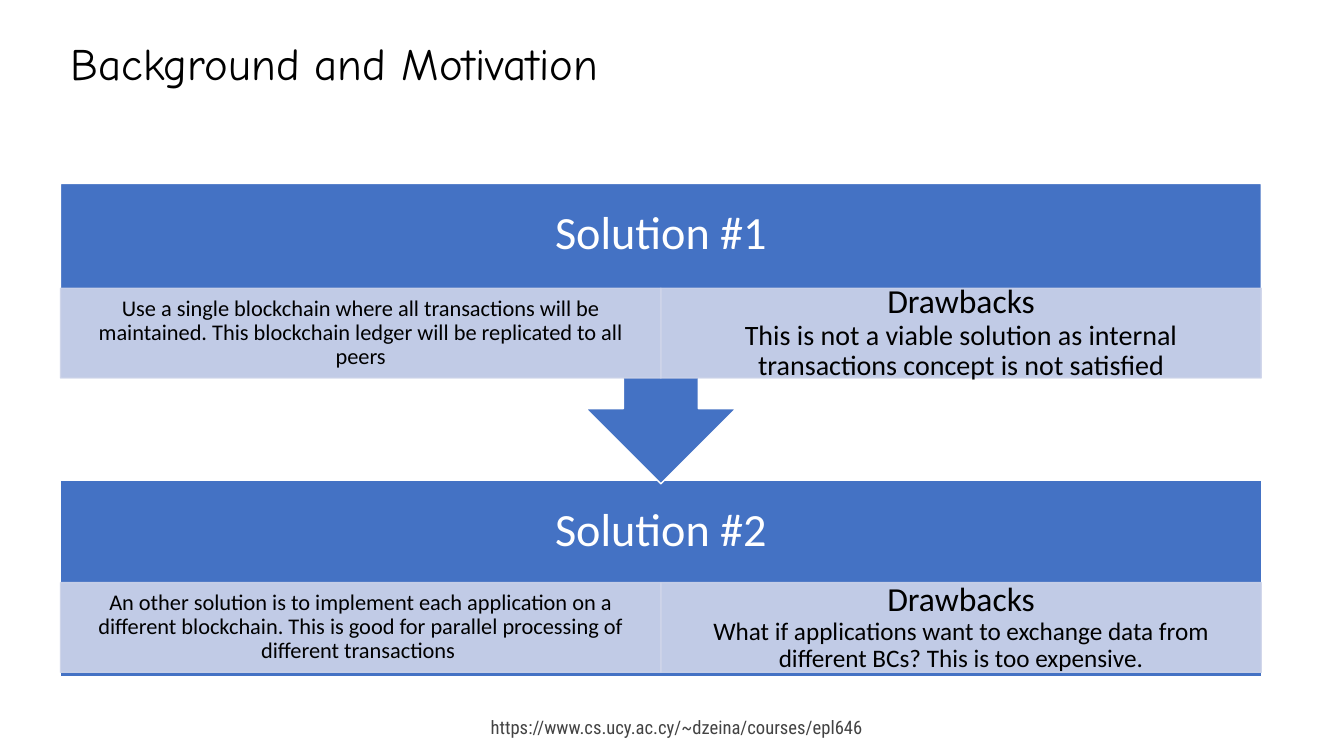
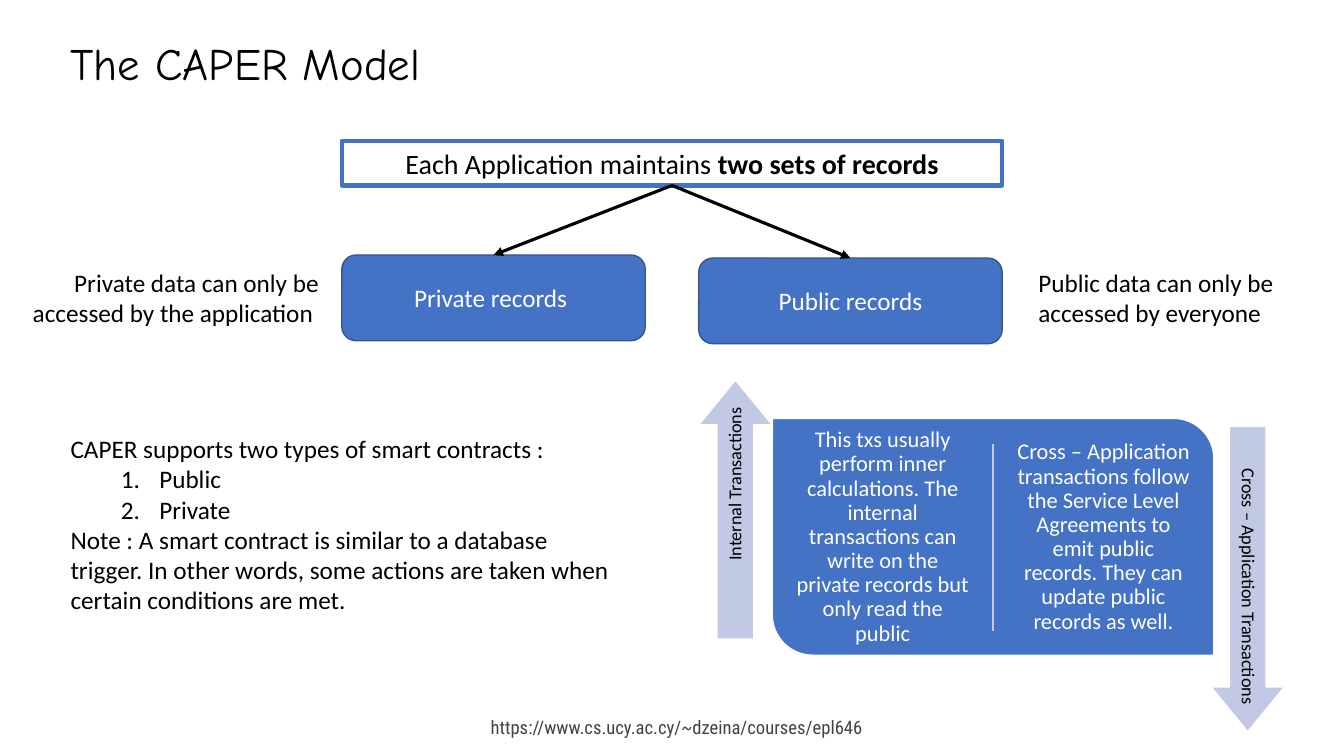
from dataclasses import dataclass, replace
from typing import NamedTuple, Optional

from lxml.etree import SubElement
from pptx import Presentation
from pptx.dml.color import RGBColor
from pptx.enum.shapes import MSO_CONNECTOR as Link, MSO_SHAPE as Kind
from pptx.enum.text import MSO_ANCHOR as Anchor, MSO_AUTO_SIZE as AutoSize, PP_ALIGN as Align
from pptx.oxml.ns import qn
from pptx.presentation import Presentation as Deck
from pptx.shapes.autoshape import Shape
from pptx.shapes.connector import Connector
from pptx.slide import Slide
from pptx.text.text import TextFrame
from pptx.util import Inches, Pt

COLORS = {
    "black": "000000",
    "white": "FFFFFF",
    "blue": "4472C4",
    "navy": "325491",
    "band": "CFD5EA",
    "lavender": "C1C9E4",
    "footer": "434343",
}
CELL = Inches(0.1)
COLUMNS, ROWS = 133.3, 75
MARGIN = 6
TITLE_ONLY, TITLE_AND_BODY = 5, 1


class Area(NamedTuple):
    column: float
    row: float
    columns: float
    rows: float

    def cells(self) -> list[int]:
        return [round(length * CELL) for length in self]


class Line(NamedTuple):
    text: str
    size: Optional[float] = None
    bold_tail: str = ""
    numbered: bool = False


@dataclass(frozen=True)
class TextStyle:
    size: float = 18
    color: str = "black"
    font: str = "Calibri"
    align: Align = Align.LEFT
    anchor: Anchor = Anchor.TOP
    spacing: float = 1.0
    inset: tuple[float, float] = (0.1, 0.05)


@dataclass(frozen=True)
class Paint:
    fill: Optional[str]
    line: str
    width: float = 1
    opacity: int = 100


@dataclass(frozen=True)
class Solution:
    heading: str
    kind: Kind
    area: Area
    band_row: float
    summary: str
    drawback: str
    drawback_size: float


@dataclass(frozen=True)
class Flow:
    text: str
    area: Area
    rotation: int


TITLE = TextStyle(32, font="Comic Neue", anchor=Anchor.MIDDLE, spacing=0.9)
FOOTER = TextStyle(13.3, "footer", "Roboto Condensed", Align.RIGHT)
NOTE = TextStyle()
STATEMENT = TextStyle(20, align=Align.CENTER)
RECORD = TextStyle(18, "white", align=Align.CENTER, anchor=Anchor.MIDDLE)
HEADING = TextStyle(33, "white", align=Align.CENTER, spacing=0.9, inset=(0.26, 0.26))
SUMMARY = TextStyle(16, align=Align.CENTER, anchor=Anchor.MIDDLE, spacing=0.9, inset=(0.12, 0.02))
DRAWBACK = replace(SUMMARY, size=24, inset=(0.19, 0.03))
DETAIL = replace(SUMMARY, color="white", inset=(0.07, 0.07))
FLOW = TextStyle(13, align=Align.RIGHT, anchor=Anchor.MIDDLE, spacing=0.9, inset=(0.05, 0.05))

PANEL = Paint("blue", "white")
BAND = Paint("band", "band", opacity=90)
RECORD_PAINT = Paint("blue", "navy")
STATEMENT_PAINT = Paint(None, "blue", 3)
FLOW_PAINT = Paint("lavender", "white")

SOLUTIONS = [
    Solution(
        "Solution #1", Kind.DOWN_ARROW_CALLOUT, Area(MARGIN, 18.2, 119.1, 29.8), 28.6,
        "Use a single blockchain where all transactions will be maintained. "
        "This blockchain ledger will be replicated to all peers",
        "This is not a viable solution as internal transactions concept is not satisfied", 20,
    ),
    Solution(
        "Solution #2", Kind.RECTANGLE, Area(MARGIN, 47.7, 119.1, 19.4), 57.8,
        "An other solution is to implement each application on a different blockchain. "
        "This is good for parallel processing of different transactions ",
        "What if applications want to exchange data from different BCs? This is too expensive.", 18,
    ),
]
RECORDS = [
    ("Private records ", Area(33.9, 25.3, 30.1, 8.5)),
    ("Public records", Area(69.3, 25.6, 30.1, 8.5)),
]
ACCESS_NOTES = [
    ("Private data can only be accessed by the application ", Area(1.5, 26, 31.1, 7.1), Align.RIGHT),
    ("Public data can only be accessed by everyone", Area(102, 26, 28.5, 7.1), Align.LEFT),
]
DETAILS = [
    "This txs usually perform inner calculations. The internal transactions can write "
    "on the private records but only read the public",
    "Cross – Application transactions follow the Service Level Agreements to emit public "
    "records. They can update public records as well.",
]
FLOWS = [
    Flow("Internal Transactions", Area(60.1, 46.9, 25.7, 7.3), 270),
    Flow("Cross – Application Transactions", Area(108.6, 53.8, 30.3, 7.3), 90),
]
CONTRACTS = [
    Line("CAPER supports two types of smart contracts :"),
    Line("Public", numbered=True),
    Line("Private", numbered=True),
    Line("Note : A smart contract is similar to a database trigger. "
         "In other words, some actions are taken when certain conditions are met."),
]


def rgb(name: str) -> RGBColor:
    return RGBColor.from_string(COLORS[name])


def write(frame: TextFrame, lines: list[Line], style: TextStyle) -> None:
    frame.word_wrap = True
    frame.auto_size = AutoSize.NONE
    frame.vertical_anchor = style.anchor
    frame.margin_left = frame.margin_right = Inches(style.inset[0])
    frame.margin_top = frame.margin_bottom = Inches(style.inset[1])
    frame.text = "\n".join(line.text for line in lines)
    for para, line in zip(frame.paragraphs, lines):
        para.alignment = style.align
        para.line_spacing = style.spacing
        para.space_before = para.space_after = Pt(0)
        if line.bold_tail:
            span = para.add_run()
            span.text = line.bold_tail
            span.font.bold = True
        for span in para.runs:
            span.font.name = style.font
            span.font.size = Pt(line.size or style.size)
            span.font.color.rgb = rgb(style.color)


def set_numbering(frame: TextFrame, lines: list[Line]) -> None:
    for para, line in zip(frame.paragraphs, lines):
        properties = para._p.get_or_add_pPr()
        properties.set("marL", str(Inches(0.88) if line.numbered else 0))
        properties.set("indent", str(Inches(-0.38) if line.numbered else 0))
        if line.numbered:
            SubElement(properties, qn("a:buAutoNum"), type="arabicPeriod")
        else:
            SubElement(properties, qn("a:buNone"))


def place(box: Shape, area: Area) -> None:
    box.left, box.top, box.width, box.height = area.cells()


def add_text(slide: Slide, area: Area, text: str, style: TextStyle) -> None:
    box = slide.shapes.add_textbox(*area.cells())
    write(box.text_frame, [Line(text)], style)


def add_box(slide: Slide, kind: Kind, area: Area, paint: Paint,
            lines: Optional[list[Line]] = None, style: TextStyle = NOTE) -> Shape:
    box = slide.shapes.add_shape(kind, *area.cells())
    box.shadow.inherit = False
    if paint.fill:
        box.fill.solid()
        box.fill.fore_color.rgb = rgb(paint.fill)
    else:
        box.fill.background()
    box.line.color.rgb = rgb(paint.line)
    box.line.width = Pt(paint.width)
    if paint.opacity < 100:
        for color in box._element.spPr.iter(qn("a:srgbClr")):
            SubElement(color, qn("a:alpha"), val=str(paint.opacity * 1000))
    if lines:
        write(box.text_frame, lines, style)
    return box


def add_line(slide: Slide, ends: Area, color: str, width: float) -> Connector:
    line = slide.shapes.add_connector(Link.STRAIGHT, *ends.cells())
    line.line.color.rgb = rgb(color)
    line.line.width = Pt(width)
    SubElement(line._element.spPr, qn("a:effectLst"))
    return line


def add_arrow(slide: Slide, start: Shape, end: Shape) -> None:
    arrow = add_line(slide, Area(0, 0, 1, 1), "black", 2.25)
    arrow.begin_connect(start, 2)
    arrow.end_connect(end, 0)
    SubElement(arrow.line._get_or_add_ln(), qn("a:tailEnd"), type="triangle")


def add_slide(deck: Deck, layout: int, title: str) -> Slide:
    slide = deck.slides.add_slide(deck.slide_layouts[layout])
    place(slide.shapes.title, Area(MARGIN, 3.5, 99.2, 6))
    write(slide.shapes.title.text_frame, [Line(title)], TITLE)
    add_text(slide, Area(43.8, 70.5, 42.8, 3.3),
             "https://www.cs.ucy.ac.cy/~dzeina/courses/epl646", FOOTER)
    return slide


def add_solution(slide: Slide, solution: Solution) -> None:
    add_box(slide, solution.kind, solution.area, PANEL, [Line(solution.heading)], HEADING)
    half = solution.area.columns / 2
    summary = Area(solution.area.column, solution.band_row, half, 8.9)
    drawback = summary._replace(column=summary.column + half)
    add_box(slide, Kind.RECTANGLE, summary, BAND, [Line(solution.summary)], SUMMARY)
    add_box(slide, Kind.RECTANGLE, drawback, BAND,
            [Line("Drawbacks"), Line(solution.drawback, solution.drawback_size)], DRAWBACK)


def add_flow(slide: Slide, flow: Flow) -> None:
    arrow = add_box(slide, Kind.RIGHT_ARROW, flow.area, FLOW_PAINT, [Line(flow.text)], FLOW)
    arrow.adjustments[0] = 0.5
    arrow.adjustments[1] = 0.61
    arrow.rotation = flow.rotation


def add_comparison(slide: Slide, area: Area) -> None:
    panel = add_box(slide, Kind.ROUND_2_DIAG_RECTANGLE, area, PANEL)
    panel.adjustments[0] = 0
    panel.adjustments[1] = 0.17
    half = area.columns / 2
    middle = area.column + half
    add_line(slide, Area(middle, area.row + 2.5, middle, area.row + 21.1), "lavender", 1)
    for index, text in enumerate(DETAILS):
        column = area.column + index * half + 1.45
        add_text(slide, Area(column, area.row + 1.8, half - 2.9, 20), text, DETAIL)


def build_background(deck: Deck) -> None:
    slide = add_slide(deck, TITLE_ONLY, "Background and Motivation")
    for solution in reversed(SOLUTIONS):
        add_solution(slide, solution)


def build_model(deck: Deck) -> None:
    slide = add_slide(deck, TITLE_AND_BODY, "The CAPER Model")
    statement = add_box(
        slide, Kind.RECTANGLE, Area(33.9, 14, 65.5, 4.4), STATEMENT_PAINT,
        [Line("Each Application maintains ", bold_tail="two sets of records")], STATEMENT)
    for text, area in RECORDS:
        record = add_box(slide, Kind.ROUNDED_RECTANGLE, area, RECORD_PAINT, [Line(text)], RECORD)
        add_arrow(slide, statement, record)
    for text, area, align in ACCESS_NOTES:
        add_text(slide, area, text, replace(NOTE, align=align))
    add_comparison(slide, Area(76.6, 41.5, 43.8, 23.5))
    for flow in FLOWS:
        add_flow(slide, flow)
    body = slide.placeholders[1]
    place(body, Area(MARGIN, 42.5, 55.9, 19.2))
    write(body.text_frame, CONTRACTS, NOTE)
    set_numbering(body.text_frame, CONTRACTS)


def main() -> None:
    deck = Presentation()
    deck.slide_width = round(COLUMNS * CELL)
    deck.slide_height = round(ROWS * CELL)
    build_background(deck)
    build_model(deck)
    deck.save("out.pptx")


if __name__ == "__main__":
    main()
